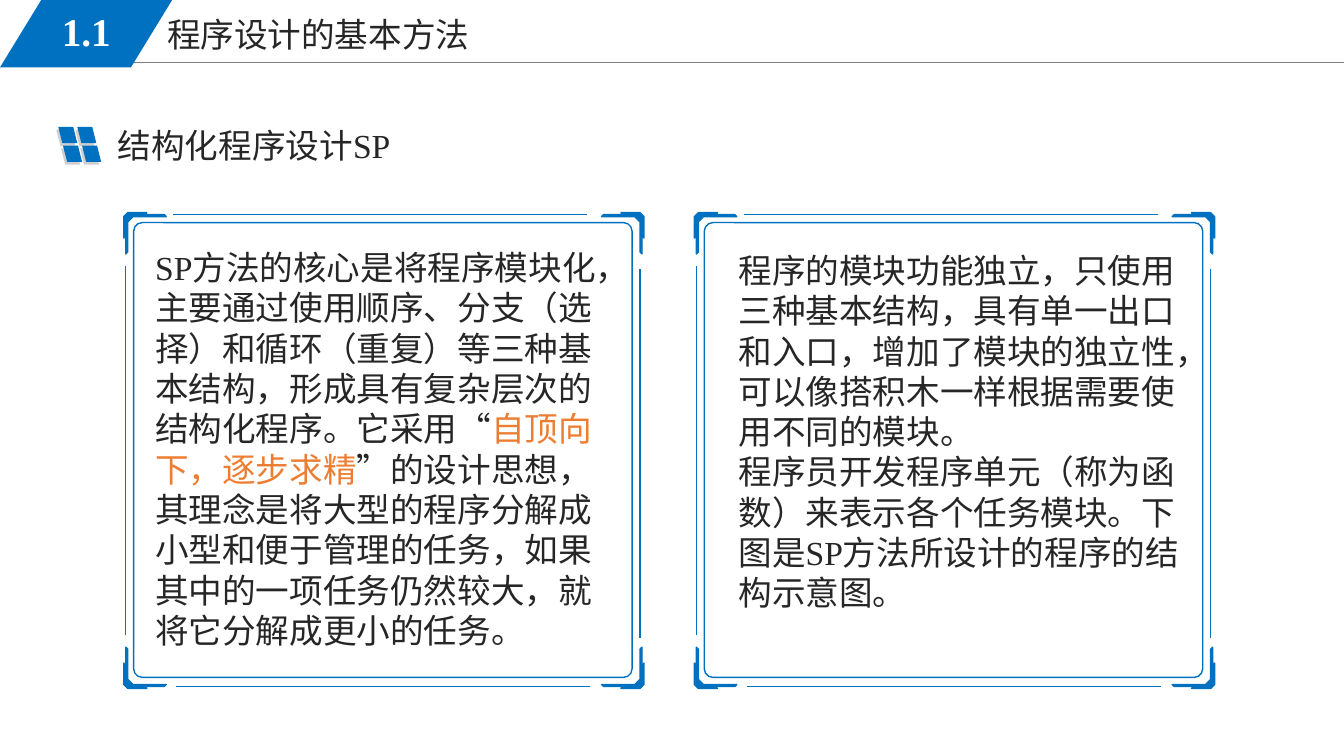
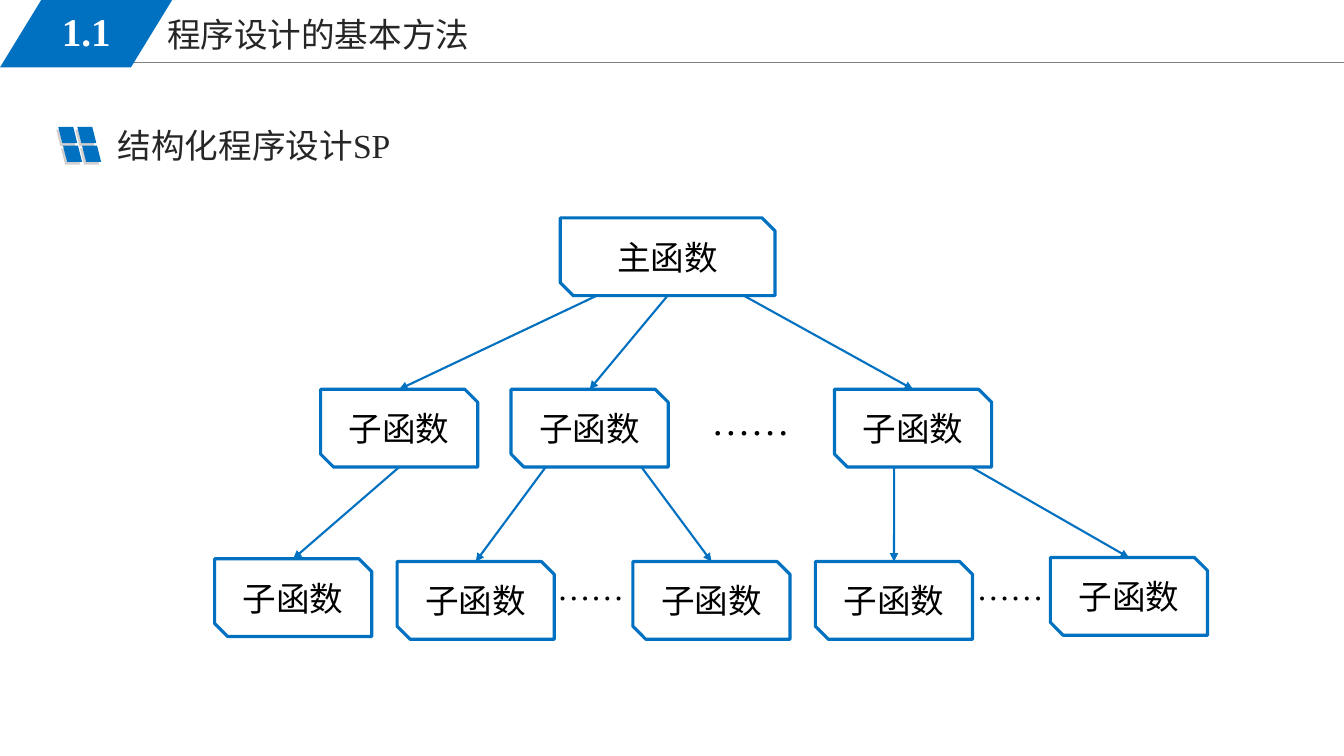
from dataclasses import dataclass

import lxml.etree
import pptx
import pptx.dml.color
import pptx.enum.lang
import pptx.enum.shapes
import pptx.enum.text
import pptx.oxml.ns
import pptx.util

Cm = pptx.util.Cm
Pt = pptx.util.Pt
SHAPES = pptx.enum.shapes.MSO_SHAPE
ALIGN = pptx.enum.text.PP_ALIGN
ANCHOR = pptx.enum.text.MSO_ANCHOR


@dataclass(frozen=True)
class Theme:
    blue: str = "0070C0"
    orange: str = "ED7D31"
    ink: str = "262626"
    black: str = "000000"
    white: str = "FFFFFF"
    rule: str = "808080"
    shade: str = "D0CECE"
    latin: str = "Times New Roman"
    chinese: str = "Noto Sans CJK SC"
    body: int = 24
    large: int = 28


THEME = Theme()

CORNER = [
    (0.1, 0), (0.58, 0), (0.53, 0.05), (1.02, 0.05), (1.07, 0.1), (0.23, 0.1),
    (0.1, 0.23), (0.1, 0.99), (0.05, 1.04), (0.05, 0.56), (0, 0.64), (0, 0.1),
]

CORE_IDEA = [[
    ("SP方法的核心是将程序模块化，主要通过使用顺序、分支（选择）和循环（重复）等三种基本结构，"
     "形成具有复杂层次的结构化程序。它采用“", THEME.ink),
    ("自顶向下，逐步求精", THEME.orange),
    ("”的设计思想，其理念是将大型的程序分解成小型和便于管理的任务，"
     "如果其中的一项任务仍然较大，就将它分解成更小的任务。", THEME.ink),
]]

MODULES = [
    "程序的模块功能独立，只使用三种基本结构，具有单一出口和入口，增加了模块的独立性，"
    "可以像搭积木一样根据需要使用不同的模块。",
    "程序员开发程序单元（称为函数）来表示各个任务模块。下图是SP方法所设计的程序的结构示意图。",
]


@dataclass(frozen=True)
class Node:
    left: float
    top: float
    exit: float = 0.5
    children: tuple = ()
    text: str = "子函数"
    width: float = 3.96
    height: float = 1.96


CALL_TREE = Node(8.71, 0, text="主函数", width=5.41, children=(
    (0.17, Node(2.67, 4.32, children=((0.5, Node(0, 8.59)),))),
    (0.5, Node(7.47, 4.32, children=(
        (0.22, Node(4.6, 8.66)), (0.83, Node(10.54, 8.66))))),
    (0.855, Node(15.62, 4.32, children=(
        (0.38, Node(15.14, 8.66)), (0.87, Node(21.06, 8.56))))),
))


def color(value):
    return pptx.dml.color.RGBColor.from_string(value)


def write(frame, paragraphs, *, size=THEME.body, fill=THEME.ink, latin=THEME.latin,
          bold=False, align=ALIGN.LEFT, anchor=ANCHOR.TOP, wrap=True):
    frame.word_wrap = wrap
    frame.vertical_anchor = anchor
    for index, runs in enumerate(paragraphs):
        paragraph = frame.add_paragraph() if index else frame.paragraphs[0]
        paragraph.alignment = align
        for text, run_fill in [(runs, fill)] if isinstance(runs, str) else runs:
            run = paragraph.add_run()
            run.text = text
            font = run.font
            font.size = Pt(size)
            font.bold = bold
            font.name = latin
            font.color.rgb = color(run_fill)
            font.language_id = pptx.enum.lang.MSO_LANGUAGE_ID.SIMPLIFIED_CHINESE
            east_asian = lxml.etree.SubElement(
                run._r.get_or_add_rPr(), pptx.oxml.ns.qn("a:ea"))
            east_asian.set("typeface", THEME.chinese)


def add_text(slide, left, top, width, height, paragraphs, **text_format):
    box = slide.shapes.add_textbox(Cm(left), Cm(top), Cm(width), Cm(height))
    write(box.text_frame, paragraphs, **text_format)
    return box


def style(shape, fill=None, line=None, weight=1):
    shape.shadow.inherit = False
    if fill:
        shape.fill.solid()
        shape.fill.fore_color.rgb = color(fill)
    else:
        shape.fill.background()
    if line:
        shape.line.color.rgb = color(line)
        shape.line.width = Pt(weight)
    else:
        shape.line.fill.background()


def add_shape(slide, kind, left, top, width, height, adjust=None, **look):
    shape = slide.shapes.add_shape(kind, Cm(left), Cm(top), Cm(width), Cm(height))
    if adjust is not None:
        shape.adjustments[0] = adjust
    style(shape, **look)
    return shape


def add_line(slide, start, end, line=THEME.blue, weight=1, arrow=False):
    connector = slide.shapes.add_connector(
        pptx.enum.shapes.MSO_CONNECTOR.STRAIGHT, *map(Cm, start), *map(Cm, end))
    connector.line.color.rgb = color(line)
    connector.line.width = Pt(weight)
    if arrow:
        tail = lxml.etree.SubElement(
            connector.line._get_or_add_ln(), pptx.oxml.ns.qn("a:tailEnd"))
        tail.set("type", "triangle")
    lxml.etree.SubElement(connector._element.spPr, pptx.oxml.ns.qn("a:effectLst"))


def add_header(slide, number, title):
    add_line(slide, (2.87, 1.57), (33.87, 1.57), line=THEME.rule, weight=0.75)
    add_text(slide, 3.96, 0.23, 14.4, 1.3, [title], latin=THEME.chinese)
    add_shape(slide, SHAPES.PARALLELOGRAM, 0, 0, 4.34, 1.7, adjust=0.612, fill=THEME.blue)
    add_text(slide, 0.64, 0.05, 3.07, 1.47, [number], size=THEME.large, fill=THEME.white,
             bold=True, align=ALIGN.CENTER, anchor=ANCHOR.MIDDLE)


def add_tiles(slide, left, top, fill):
    for row in range(2):
        for column in range(2):
            tile = add_shape(slide, SHAPES.PARALLELOGRAM, left + 0.48 * column + 0.12 * row,
                             top + 0.47 * row, 0.48, 0.41, fill=fill)
            tile._element.spPr.xfrm.set("flipH", "1")


def add_subtitle(slide, left, top, text):
    add_tiles(slide, left, top + 0.25, THEME.shade)
    add_tiles(slide, left + 0.05, top + 0.18, THEME.blue)
    add_text(slide, left + 1.3, top, 15.2, 1.27, [text])


def add_corner(slide, left, top, width, height, flip_x, flip_y):
    points = [(Cm(left + (width - x if flip_x else x)), Cm(top + (height - y if flip_y else y)))
              for x, y in CORNER]
    builder = slide.shapes.build_freeform(*points[0], scale=1.0)
    builder.add_line_segments(points[1:], close=True)
    style(builder.convert_to_shape(), fill=THEME.blue, line=THEME.blue)


def add_frame(slide, left, top, width, height):
    add_shape(slide, SHAPES.ROUNDED_RECTANGLE, left + 0.25, top + 0.25, width - 0.55,
              height - 0.53, adjust=0.019, line=THEME.blue)
    for flip_x in (False, True):
        for flip_y in (False, True):
            add_corner(slide, left, top, width, height, flip_x, flip_y)
    edges = [
        ((1.24, 0.05), (width - 1.43, 0.05)),
        ((1.32, height - 0.05), (width - 1.35, height - 0.05)),
        ((0.05, 1.35), (0.05, height - 1.35)),
        ((width - 0.1, 1.42), (width - 0.1, height - 1.27)),
    ]
    for start, end in edges:
        add_line(slide, *((left + x, top + y) for x, y in (start, end)))


def add_node(slide, left, top, node):
    node_left, node_top = left + node.left, top + node.top
    box = add_shape(slide, SHAPES.SNIP_2_DIAG_RECTANGLE, node_left, node_top,
                    node.width, node.height, line=THEME.blue, weight=2.25)
    write(box.text_frame, [node.text], fill=THEME.black, align=ALIGN.CENTER,
          anchor=ANCHOR.MIDDLE)
    for share, child in node.children:
        add_node(slide, left, top, child)
        add_line(slide, (node_left + share * node.width, node_top + node.height),
                 (left + child.left + child.width / 2, top + child.top),
                 weight=1.5, arrow=True)


def add_call_tree(slide, left, top):
    add_node(slide, left, top, CALL_TREE)
    for x, y, width, height, size in (
            (12.27, 4.37, 2.51, 1.45, THEME.large),
            (8.38, 8.66, 2.24, 1.27, THEME.body),
            (18.95, 8.66, 2.24, 1.27, THEME.body)):
        add_text(slide, left + x, top + y, width, height, ["……"], size=size,
                 fill=THEME.black, wrap=False)


def add_section_slide(presentation):
    slide = presentation.slides.add_slide(presentation.slide_layouts[6])
    add_header(slide, "1.1", "程序设计的基本方法")
    add_subtitle(slide, 1.42, 3.02, "结构化程序设计SP")
    return slide


def add_method_slide(presentation):
    slide = add_section_slide(presentation)
    for frame_left, text_left, text_top, text_width, paragraphs in (
            (3.12, 3.66, 6.1, 12.14, CORE_IDEA),
            (17.5, 18.36, 6.17, 11.61, MODULES)):
        add_frame(slide, frame_left, 5.36, 13.11, 11.99)
        add_text(slide, text_left, text_top, text_width, 10.5, paragraphs)


def add_structure_slide(presentation):
    slide = add_section_slide(presentation)
    add_call_tree(slide, 5.41, 5.49)


def main():
    presentation = pptx.Presentation()
    presentation.slide_width = Cm(33.87)
    presentation.slide_height = Cm(19.05)
    add_method_slide(presentation)
    add_structure_slide(presentation)
    presentation.save("out.pptx")


if __name__ == "__main__":
    main()
